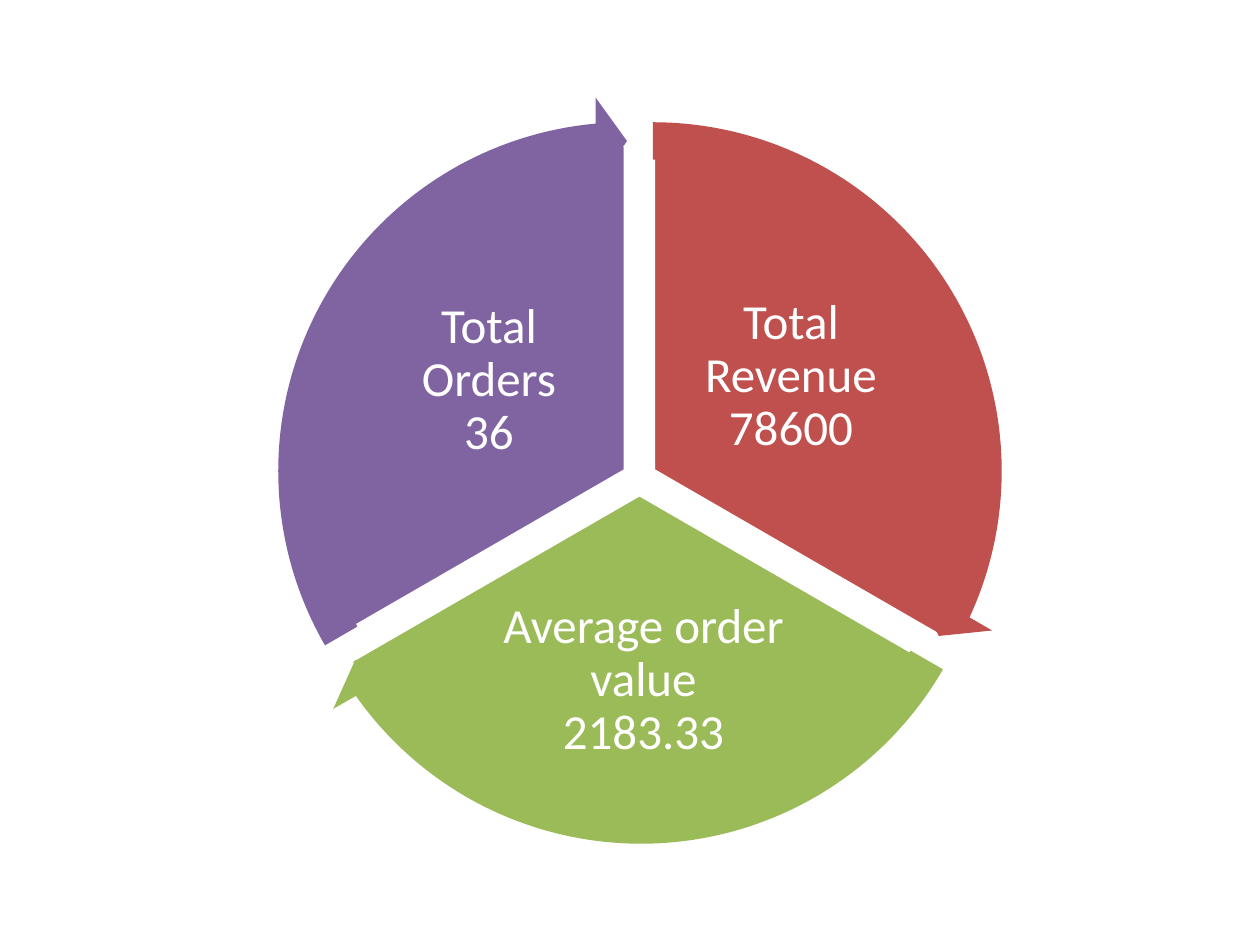
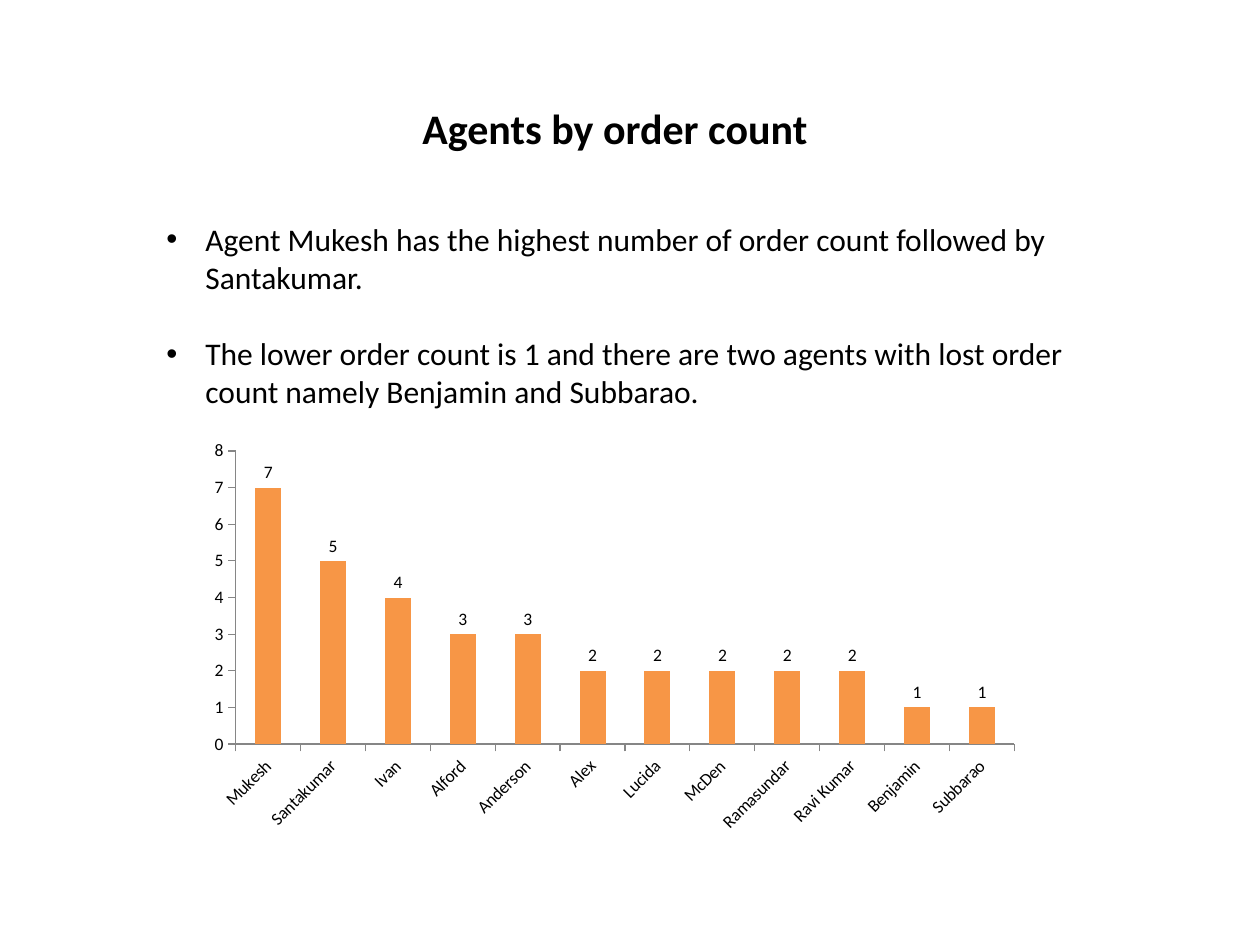
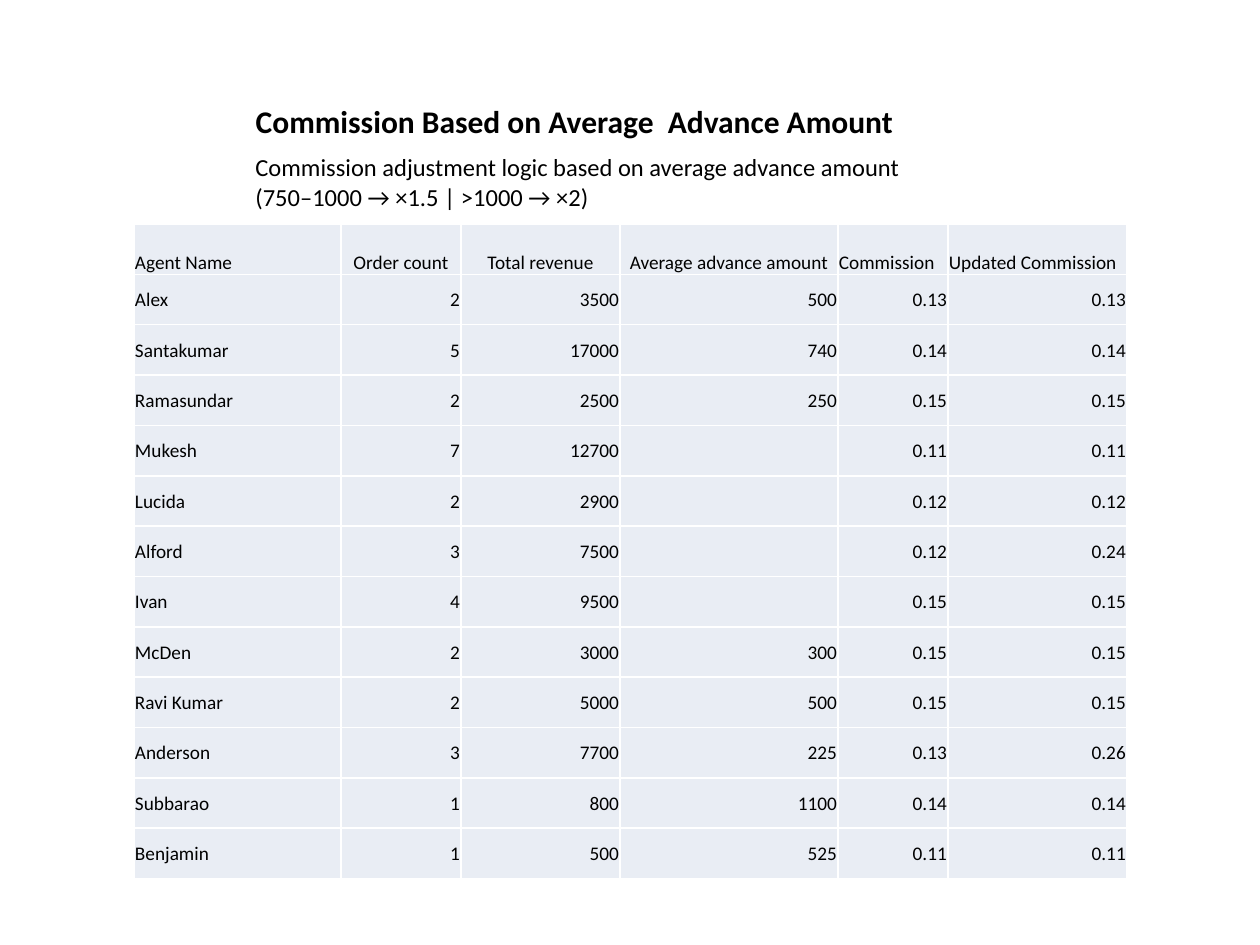
from copy import deepcopy
from dataclasses import dataclass

from lxml.etree import SubElement
from pptx import Presentation
from pptx.chart.data import CategoryChartData
from pptx.dml.color import RGBColor
from pptx.enum.chart import XL_CHART_TYPE, XL_LABEL_POSITION, XL_TICK_MARK
from pptx.enum.shapes import MSO_SHAPE
from pptx.enum.text import MSO_ANCHOR, PP_ALIGN
from pptx.oxml.ns import qn
from pptx.util import Emu, Pt

FONT = "Calibri"
BLACK, WHITE, GREY = "000000", "FFFFFF", "868686"
RED, GREEN, PURPLE, ORANGE = "C0504D", "9BBB59", "8064A2", "F79646"
CELL_FILL = "E9EDF4"
LEFT, CENTER, RIGHT = PP_ALIGN.LEFT, PP_ALIGN.CENTER, PP_ALIGN.RIGHT
TITLE_ONLY, BLANK = 5, 6

# Adjustment units per degree, and the length of an arrow head in those units
PER_DEGREE = 0.6
ARROW_HEAD = 3.28


@dataclass(frozen=True)
class Box:
    left: int
    top: int
    width: int
    height: int

    def emu(self) -> tuple:
        return tuple(px(n) for n in (self.left, self.top, self.width, self.height))


@dataclass(frozen=True)
class Sector:
    label: str
    color: str
    wedge: Box
    text: Box
    arrow: Box


@dataclass(frozen=True)
class Column:
    heading: str
    width: int
    heading_align: PP_ALIGN
    align: PP_ALIGN = RIGHT


SECTORS = [
    Sector("Total Revenue\n78600", RED, Box(320, 137, 667, 667),
           Box(672, 278, 238, 198), Box(278, 96, 750, 750)),
    Sector("Average order value\n2183.33", GREEN, Box(306, 161, 667, 667),
           Box(465, 593, 357, 175), Box(266, 120, 750, 750)),
    Sector("Total Orders\n36", PURPLE, Box(292, 145, 667, 651),
           Box(370, 284, 238, 194), Box(252, 96, 750, 750)),
]

ORDER_COUNTS = {
    "Mukesh": 7, "Santakumar": 5, "Ivan": 4, "Alford": 3, "Anderson": 3, "Alex": 2,
    "Lucida": 2, "McDen": 2, "Ramasundar": 2, "Ravi Kumar": 2, "Benjamin": 1, "Subbarao": 1,
}
FINDINGS = [
    "Agent Mukesh has the highest number of order count followed by Santakumar.",
    "The lower order count is 1 and there are two agents with lost order count "
    "namely Benjamin and Subbarao.",
]

COLUMNS = [
    Column("Agent Name", 207, LEFT, LEFT),
    Column("Order count", 120, CENTER),
    Column("Total revenue", 159, CENTER),
    Column("Average advance amount", 218, CENTER),
    Column("Commission", 110, LEFT),
    Column("Updated Commission", 179, LEFT),
]
COMMISSIONS = [
    ("Alex", "3500", "500", "0.13", "0.13"),
    ("Santakumar", "17000", "740", "0.14", "0.14"),
    ("Ramasundar", "2500", "250", "0.15", "0.15"),
    ("Mukesh", "12700", "", "0.11", "0.11"),
    ("Lucida", "2900", "", "0.12", "0.12"),
    ("Alford", "7500", "", "0.12", "0.24"),
    ("Ivan", "9500", "", "0.15", "0.15"),
    ("McDen", "3000", "300", "0.15", "0.15"),
    ("Ravi Kumar", "5000", "500", "0.15", "0.15"),
    ("Anderson", "7700", "225", "0.13", "0.26"),
    ("Subbarao", "800", "1100", "0.14", "0.14"),
    ("Benjamin", "500", "525", "0.11", "0.11"),
]


# Shared helpers

def px(length: int) -> Emu:
    return Emu(round(length * 914400 / 126))


def rgb(color: str) -> RGBColor:
    return RGBColor.from_string(color)


def write(paragraph, text: str, *, size: int, color: str = BLACK, bold: bool = False,
          align: PP_ALIGN = LEFT, spacing: float = 1.0) -> None:
    """Fill a paragraph; a newline in the text becomes a line break."""
    paragraph.alignment = align
    paragraph.line_spacing = spacing
    for number, line in enumerate(text.split("\n")):
        if number:
            paragraph.add_line_break()
        run = paragraph.add_run()
        run.text = line
        run.font.name, run.font.size, run.font.bold = FONT, Pt(size), bold
        run.font.color.rgb = rgb(color)
    for line_break in paragraph._p.findall(qn("a:br")):
        line_break.append(deepcopy(run._r.rPr))


def add_text_frame(slide, box: Box):
    frame = slide.shapes.add_textbox(*box.emu()).text_frame
    frame.word_wrap = True
    return frame


def add_title(slide, text: str, box: Box, size: int) -> None:
    title = slide.shapes.title
    title.left, title.top, title.width, title.height = box.emu()
    write(title.text_frame.paragraphs[0], text, size=size, bold=True, align=CENTER)


def add_filled(slide, preset: MSO_SHAPE, box: Box, color: str, adjustments: list):
    shape = slide.shapes.add_shape(preset, *box.emu())
    shape.shadow.inherit = False
    shape.fill.solid()
    shape.fill.fore_color.rgb = rgb(color)
    shape.line.fill.background()
    for number, value in enumerate(adjustments):
        shape.adjustments[number] = value
    return shape


def set_bullet(paragraph, indent: int) -> None:
    properties = paragraph._p.get_or_add_pPr()
    properties.set("marL", str(px(indent)))
    properties.set("indent", str(-px(indent)))
    SubElement(properties, qn("a:buFont")).set("typeface", "Arial")
    SubElement(properties, qn("a:buChar")).set("char", "•")


def set_borders(cell, color: str, width: int) -> None:
    properties = cell._tc.get_or_add_tcPr()
    for number, side in enumerate(("a:lnL", "a:lnR", "a:lnT", "a:lnB")):
        line = SubElement(properties, qn(side))
        line.set("w", str(Pt(width)))
        SubElement(SubElement(line, qn("a:solidFill")), qn("a:srgbClr")).set("val", color)
        properties.insert(number, line)


# Slide 1: cycle of key figures

def build_key_figures(deck) -> None:
    slide = deck.slides.add_slide(deck.slide_layouts[BLANK])
    bounds = [((270 + 120 * i) % 360 * PER_DEGREE, (30 + 120 * i) * PER_DEGREE)
              for i in range(len(SECTORS))]
    for sector, (start, end) in zip(SECTORS, bounds):
        wedge = add_filled(slide, MSO_SHAPE.PIE, sector.wedge, sector.color, [start, end])
        wedge.line.color.rgb = rgb(WHITE)
        wedge.line.width = Pt(2)
        frame = add_text_frame(slide, sector.text)
        frame.vertical_anchor = MSO_ANCHOR.MIDDLE
        frame.margin_left = frame.margin_right = px(5)
        frame.margin_top = frame.margin_bottom = px(5)
        write(frame.paragraphs[0], sector.label, size=28, color=WHITE,
              align=CENTER, spacing=0.9)
    for sector, (start, end) in zip(SECTORS, bounds):
        add_filled(slide, MSO_SHAPE.CIRCULAR_ARROW, sector.arrow, sector.color,
                   [0.05, ARROW_HEAD, end - ARROW_HEAD, start, 0.06])


# Slide 2: agents by order count

def add_order_chart(slide, box: Box) -> None:
    data = CategoryChartData()
    data.categories = list(ORDER_COUNTS)
    data.add_series("Series 1", list(ORDER_COUNTS.values()))
    chart = slide.shapes.add_chart(XL_CHART_TYPE.COLUMN_CLUSTERED, *box.emu(), data).chart
    chart.has_legend = chart.has_title = False
    chart.font.name, chart.font.size = FONT, Pt(10)
    chart.font.color.rgb = rgb(BLACK)

    for axis in (chart.category_axis, chart.value_axis):
        axis.has_major_gridlines = False
        axis.major_tick_mark = XL_TICK_MARK.OUTSIDE
        axis.minor_tick_mark = XL_TICK_MARK.NONE
        axis.format.line.color.rgb = rgb(GREY)
        axis.tick_labels.font.size = Pt(10)
    slant = chart.category_axis._element.find(qn("c:txPr")).find(qn("a:bodyPr"))
    slant.set("rot", str(-45 * 60000))
    chart.value_axis.minimum_scale = 0
    chart.value_axis.maximum_scale = 8
    chart.value_axis.major_unit = 1

    columns = chart.plots[0]
    columns.gap_width = 150
    columns.vary_by_categories = False
    columns.series[0].format.fill.solid()
    columns.series[0].format.fill.fore_color.rgb = rgb(ORANGE)
    labels = columns.series[0].data_labels
    labels.show_value = True
    labels.position = XL_LABEL_POSITION.OUTSIDE_END
    labels.font.size = Pt(10)


def build_order_count(deck) -> None:
    slide = deck.slides.add_slide(deck.slide_layouts[TITLE_ONLY])
    add_order_chart(slide, Box(198, 433, 833, 407))
    add_title(slide, "Agents by order count", Box(154, 96, 922, 63), size=24)
    frame = add_text_frame(slide, Box(154, 214, 963, 280))
    for number, finding in enumerate(FINDINGS):
        paragraph = frame.add_paragraph() if number else frame.paragraphs[0]
        write(paragraph, finding, size=18)
        paragraph.space_before = Pt(22 if number else 0)
        set_bullet(paragraph, 39)


# Slide 3: commission table

def fill_cell(cell, text: str, align: PP_ALIGN, anchor: MSO_ANCHOR) -> None:
    cell.fill.solid()
    cell.fill.fore_color.rgb = rgb(CELL_FILL)
    set_borders(cell, WHITE, 1)
    cell.margin_left = cell.margin_right = cell.margin_top = px(1)
    cell.margin_bottom = 0
    cell.vertical_anchor = anchor
    if text:
        write(cell.text_frame.paragraphs[0], text, size=11, align=align)


def add_commission_table(slide, box: Box) -> None:
    table = slide.shapes.add_table(len(COMMISSIONS) + 1, len(COLUMNS), *box.emu()).table
    table.first_row = table.horz_banding = False
    for index, column in enumerate(COLUMNS):
        table.columns[index].width = px(column.width)
        fill_cell(table.cell(0, index), column.heading, column.heading_align,
                  MSO_ANCHOR.BOTTOM)
    for row, (agent, *amounts) in enumerate(COMMISSIONS, start=1):
        values = [agent, str(ORDER_COUNTS[agent]), *amounts]
        for index, (column, value) in enumerate(zip(COLUMNS, values)):
            fill_cell(table.cell(row, index), value, column.align, MSO_ANCHOR.MIDDLE)


def build_commission(deck) -> None:
    slide = deck.slides.add_slide(deck.slide_layouts[TITLE_ONLY])
    add_commission_table(slide, Box(134, 224, 993, 655))
    add_title(slide, "Commission Based on Average  Advance Amount",
              Box(123, 96, 903, 50), size=18)
    rule = add_text_frame(slide, Box(243, 146, 704, 72))
    write(rule.paragraphs[0],
          "Commission adjustment logic based on average advance amount\n"
          "(750–1000 → ×1.5 | >1000 → ×2)", size=14)


def main() -> None:
    deck = Presentation()
    deck.slide_width, deck.slide_height = px(1260), px(945)
    build_key_figures(deck)
    build_order_count(deck)
    build_commission(deck)
    deck.save("out.pptx")


if __name__ == "__main__":
    main()
